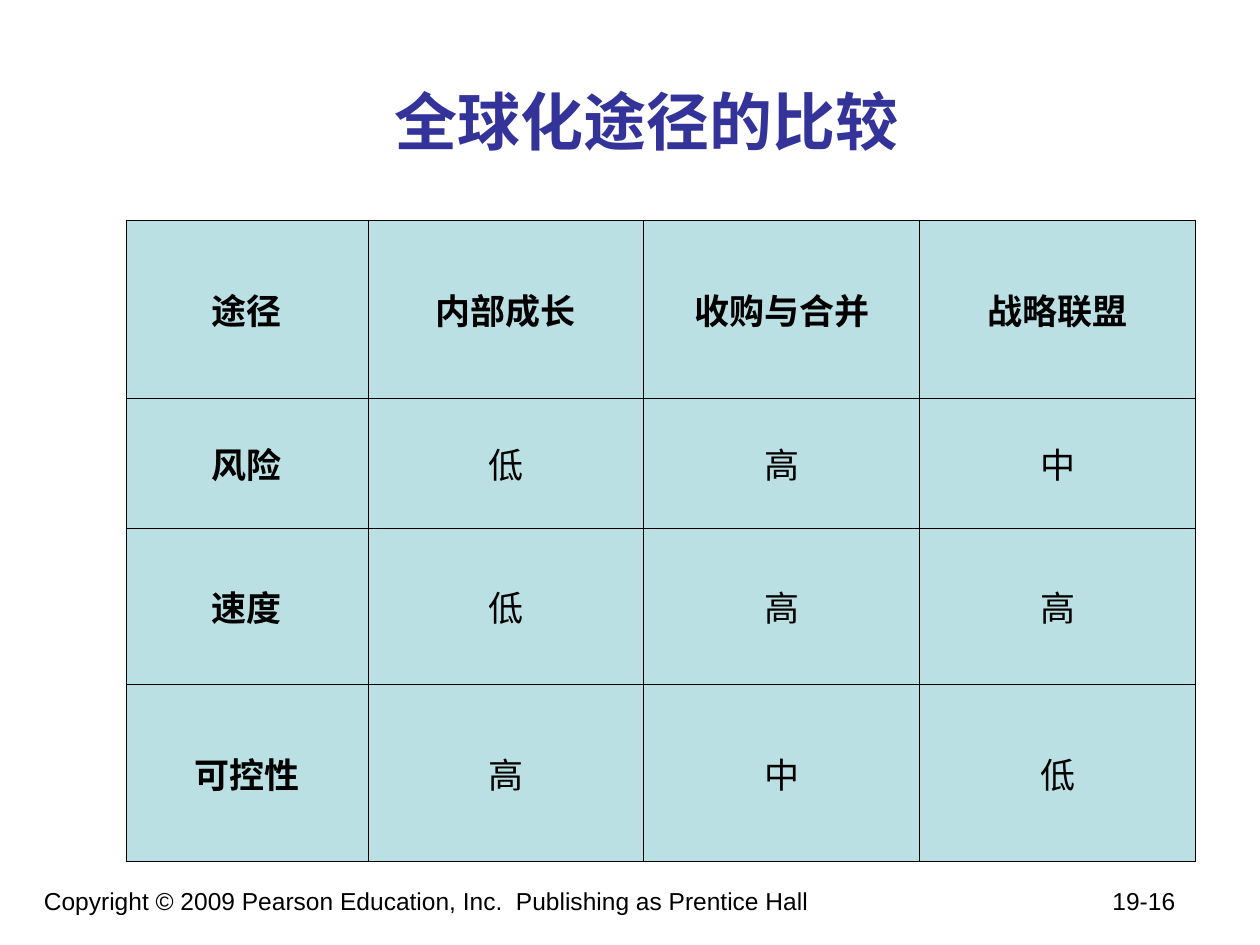
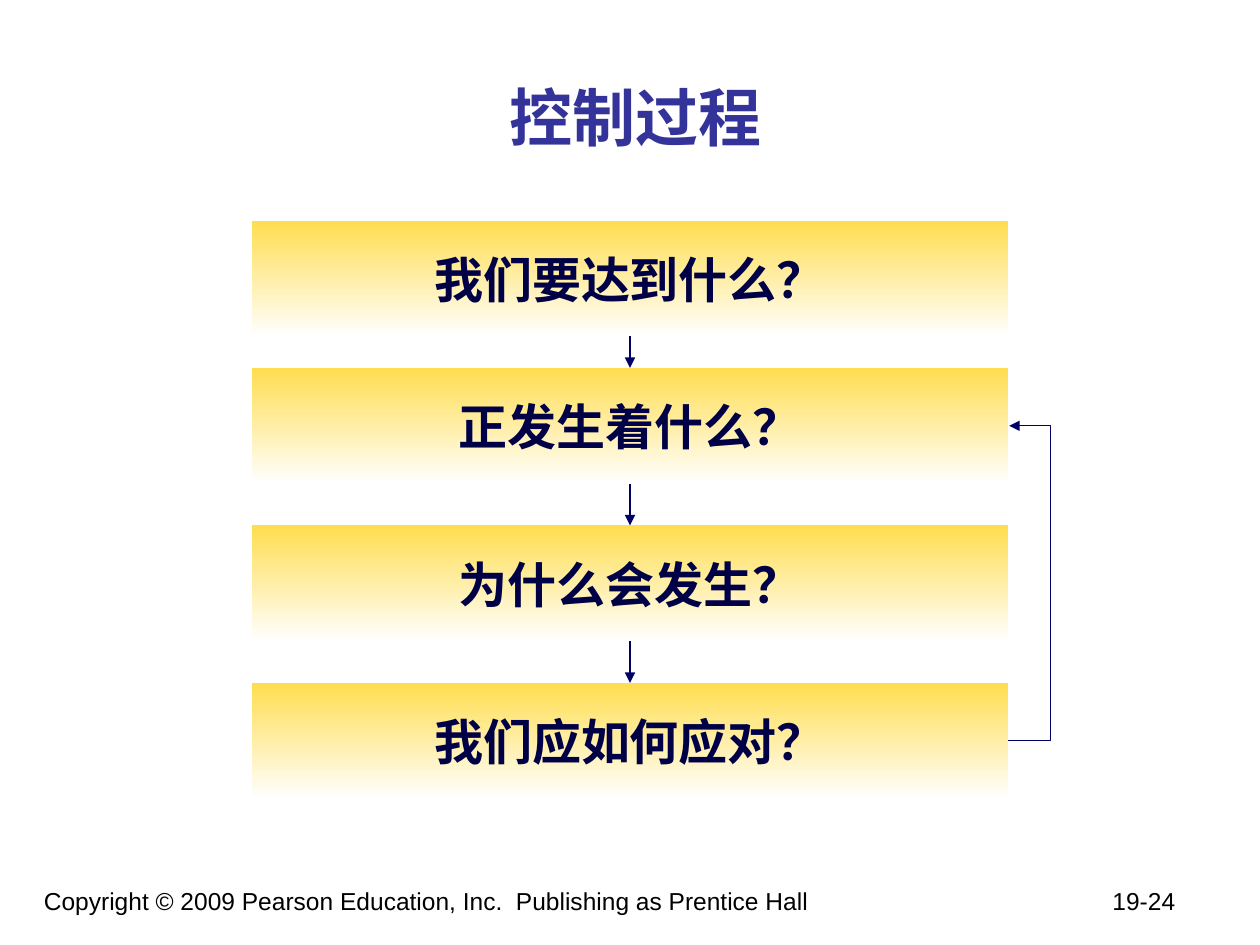
from pptx import Presentation
from pptx.dml.color import RGBColor
from pptx.enum.shapes import MSO_CONNECTOR as Link, MSO_SHAPE as Preset
from pptx.enum.text import MSO_ANCHOR as Anchor, PP_ALIGN as Align
from pptx.oxml.ns import qn
from pptx.util import Inches, Pt
from lxml.etree import SubElement

COPYRIGHT = "Copyright © 2009 Pearson Education, Inc.  Publishing as Prentice Hall"
COMPARISON = {
    "title": "全球化途径的比较",
    "page": "19-16",
    "rows": [
        ("途径", "内部成长", "收购与合并", "战略联盟"),
        ("风险", "低", "高", "中"),
        ("速度", "低", "高", "高"),
        ("可控性", "高", "中", "低"),
    ],
    "widths": (1.92, 2.19, 2.19, 2.19),
    "heights": (1.41, 1.03, 1.24, 1.41),
}
CONTROL = {
    "title": "控制过程",
    "page": "19-24",
    "steps": [
        ("我们要达到什么？", 1.75),
        ("正发生着什么？", 2.92),
        ("为什么会发生？", 4.17),
        ("我们应如何应对？", 5.42),
    ],
}

BLACK = RGBColor(0x00, 0x00, 0x00)
WHITE = RGBColor(0xFF, 0xFF, 0xFF)
TITLE_BLUE = RGBColor(0x33, 0x33, 0x99)
CELL_TEAL = RGBColor(0xBB, 0xE0, 0xE3)
STEP_YELLOW = RGBColor(0xFF, 0xDD, 0x4F)
STEP_NAVY = RGBColor(0x00, 0x00, 0x46)
ARROW_NAVY = RGBColor(0x00, 0x00, 0x66)
CHINESE = "Noto Sans CJK SC"

STEP_LEFT, STEP_WIDTH, STEP_HEIGHT = 2, 6, 0.92
LOOP_REACH, LOOP_SPAN = 0.34, 0.01


def write(frame, text, size, color, font, bold=False, align=Align.CENTER):
    paragraph = frame.paragraphs[0]
    paragraph.alignment = align
    run = paragraph.add_run()
    run.text = text
    run.font.size = Pt(size)
    run.font.bold = bold
    run.font.name = font
    run.font.color.rgb = color
    SubElement(run.font._element, qn("a:ea"), typeface=CHINESE)
    return paragraph


def add_text_frame(slide, left, top, width, height, anchor):
    box = slide.shapes.add_textbox(Inches(left), Inches(top), Inches(width), Inches(height))
    frame = box.text_frame
    frame.word_wrap = True
    frame.vertical_anchor = anchor
    return frame


def add_page(deck, content, title_left, title_top, title_width):
    slide = deck.slides.add_slide(deck.slide_layouts[6])
    footer = add_text_frame(slide, 0.25, 6.98, 9.33, 0.52, Anchor.TOP)
    line = write(footer, f"{COPYRIGHT}\t{content['page']}", 14, BLACK, "Arial", align=Align.LEFT)
    tabs = SubElement(line._p.get_or_add_pPr(), qn("a:tabLst"))
    SubElement(tabs, qn("a:tab"), pos=str(Inches(8.98)), algn="r")
    title = add_text_frame(slide, title_left, title_top, title_width, 1.25, Anchor.MIDDLE)
    write(title, content["title"], 36, TITLE_BLUE, CHINESE, bold=True)
    return slide


def outline_cell(cell):
    properties = cell._tc.get_or_add_tcPr()
    for position, side in enumerate(("a:lnL", "a:lnR", "a:lnT", "a:lnB")):
        border = SubElement(properties, qn(side), w=str(Pt(0.45)))
        fill = SubElement(border, qn("a:solidFill"))
        SubElement(fill, qn("a:srgbClr"), val=str(BLACK))
        properties.insert(position, border)


def add_comparison(slide, content):
    rows, widths, heights = content["rows"], content["widths"], content["heights"]
    table = slide.shapes.add_table(
        len(rows), len(widths), Inches(1), Inches(1.75),
        Inches(sum(widths)), Inches(sum(heights)),
    ).table
    for column, width in zip(table.columns, widths):
        column.width = Inches(width)
    for r, (labels, height) in enumerate(zip(rows, heights)):
        table.rows[r].height = Inches(height)
        for c, label in enumerate(labels):
            cell = table.cell(r, c)
            cell.fill.solid()
            cell.fill.fore_color.rgb = CELL_TEAL
            cell.vertical_anchor = Anchor.MIDDLE
            outline_cell(cell)
            heading = r == 0 or c == 0
            line = write(cell.text_frame, label, 20, BLACK, "Times New Roman", heading)
            line.space_after = Pt(2.5)


def add_step(slide, question, top):
    step = slide.shapes.add_shape(
        Preset.RECTANGLE, Inches(STEP_LEFT), Inches(top), Inches(STEP_WIDTH), Inches(STEP_HEIGHT)
    )
    step.shadow.inherit = False
    step.line.fill.background()
    step.fill.gradient()
    step.fill.gradient_angle = 270
    for stop, color, position in zip(step.fill.gradient_stops, (STEP_YELLOW, WHITE), (0, 1)):
        stop.color.rgb = color
        stop.position = position
    step.text_frame.word_wrap = False
    step.text_frame.vertical_anchor = Anchor.MIDDLE
    write(step.text_frame, question, 28, STEP_NAVY, "Arial", bold=True)


def add_arrow(slide, kind, start, end):
    arrow = slide.shapes.add_connector(kind, *(Inches(value) for value in start + end))
    arrow.line.color.rgb = ARROW_NAVY
    arrow.line.width = Pt(0.75)
    SubElement(arrow.line._get_or_add_ln(), qn("a:tailEnd"), type="triangle")
    SubElement(arrow._element.spPr, qn("a:effectLst"))
    return arrow


def add_control_process(slide, content):
    steps = content["steps"]
    for question, top in steps:
        add_step(slide, question, top)
    tops = [top for _, top in steps]
    center = STEP_LEFT + STEP_WIDTH / 2
    for upper, lower in zip(tops, tops[1:]):
        add_arrow(slide, Link.STRAIGHT, (center, upper + STEP_HEIGHT), (center, lower))
    right = STEP_LEFT + STEP_WIDTH
    last_middle, second_middle = (top + STEP_HEIGHT / 2 for top in (tops[-1], tops[1]))
    loop = add_arrow(slide, Link.ELBOW, (right, last_middle), (right + LOOP_SPAN, second_middle))
    bend = round(LOOP_REACH / LOOP_SPAN * 100000)
    guides = loop._element.spPr.find(qn("a:prstGeom")).get_or_add_avLst()
    SubElement(guides, qn("a:gd"), name="adj1", fmla=f"val {bend}")


def main():
    deck = Presentation()
    deck.slide_width, deck.slide_height = Inches(10), Inches(7.5)
    add_comparison(add_page(deck, COMPARISON, 1.05, 0.33, 8.17), COMPARISON)
    add_control_process(add_page(deck, CONTROL, 0.83, 0.3, 8.42), CONTROL)
    deck.save("out.pptx")


if __name__ == "__main__":
    main()
